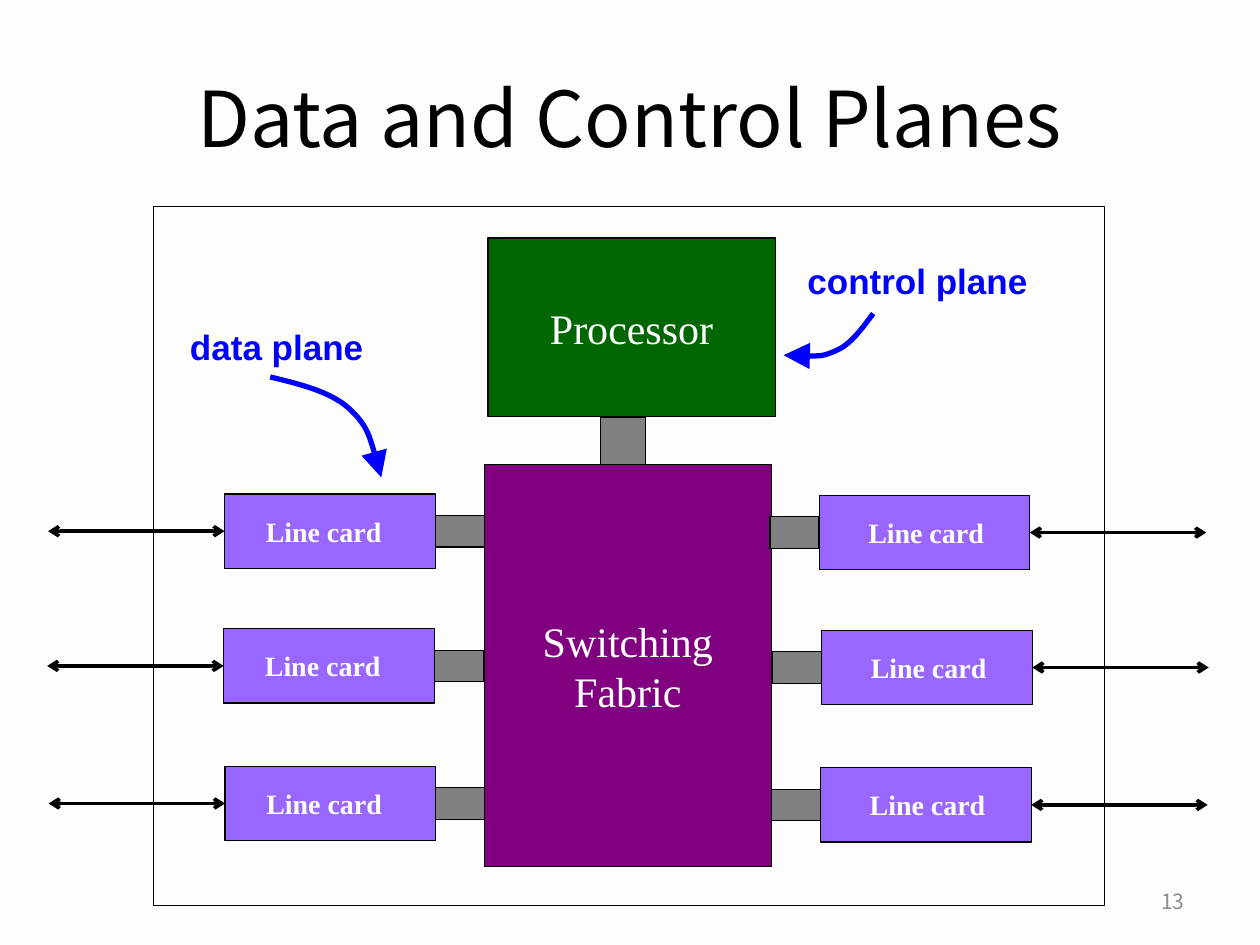
from lxml.etree import SubElement
from pptx import Presentation
from pptx.dml.color import RGBColor
from pptx.enum.shapes import MSO_CONNECTOR as Connector, MSO_SHAPE as Shape
from pptx.enum.text import MSO_ANCHOR as Anchor, MSO_AUTO_SIZE as AutoSize, PP_ALIGN as Align
from pptx.oxml.ns import qn
from pptx.util import Pt

COLORS = {
    "background": "FDFDFC", "black": "000000", "white": "FFFFFF", "number": "8C8C8C",
    "fabric": "800080", "processor": "006600", "pipe": "808080", "card": "9966FF",
    "plane": "0000FF",
}
HEADING_FONT, BLOCK_FONT, PLANE_FONT = "Noto Sans CJK JP", "Times New Roman", "Arial"

TITLE = ("Data and Control Planes", (36, 21.6, 648, 90))
NUMBER = ("13", (516.2, 500.4, 167.8, 28.8))
FRAME = (87.8, 118, 543.4, 399.6)

# text, box, fill
BLOCKS = [
    ("Switching\nFabric", (276.7, 265.6, 164.2, 229.5), "fabric"),
    ("Processor", (278.8, 136, 164.2, 102.2), "processor"),
]
TRUNK = (343, 238.4, 25.9, 27.2)

CARD_TEXT = "Line card"
CARD_W, CARD_H = 120.4, 42.5
PIPE_W, PIPE_H = 28.1, 18
LINK_LENGTH = 100.8
LABEL_W, LABEL_H = 82, 26.6
# outer connection site, direction of the link, label indent, card corners
SIDES = [
    (1, -1, 16.5, [(128.3, 282.3), (127.8, 359.3), (128.6, 437.9)]),
    (3, 1, 21, [(468.1, 283.1), (469.5, 360.2), (468.9, 438.7)]),
]

# text, box, curve as a start point followed by triples of Bezier points
PLANES = [
    ("data plane", (101.5, 182.2, 117, 31),
     [(154.4, 215.4), (172, 219.6), (189.3, 224), (199.7, 233.6),
      (210.2, 243.4), (214, 257.7), (217.9, 272.8)]),
    ("control plane", (454.3, 144.7, 143, 31),
     [(499, 179.2), (492.5, 187.9), (486.4, 196.5), (478.2, 200.2),
      (469.4, 204.2), (458.6, 203.7), (447.8, 203)]),
]

prs = Presentation()
prs.slide_width, prs.slide_height = Pt(720), Pt(540)
slide = prs.slides.add_slide(prs.slide_layouts[6])


def color(name):
    return RGBColor.from_string(COLORS[name])


def write(shape, text, font, size, tint, bold=False, align=Align.LEFT,
          anchor=Anchor.TOP, wrap=False):
    frame = shape.text_frame
    frame.text = text
    frame.word_wrap = wrap
    frame.vertical_anchor = anchor
    for paragraph in frame.paragraphs:
        paragraph.alignment = align
        for run in paragraph.runs:
            run.font.name, run.font.size, run.font.bold = font, Pt(size), bold
            run.font.color.rgb = color(tint)


def add_text(box, *args, **style):
    shape = slide.shapes.add_textbox(*map(Pt, box))
    write(shape, *args, **style)
    return shape


def add_label(box, *args):
    add_text(box, *args, bold=True).text_frame.auto_size = AutoSize.SHAPE_TO_FIT_TEXT


def set_line(shape, tint, width, **ends):
    """Style the outline; ends maps headEnd and tailEnd to (type, size)."""
    shape.line.color.rgb = color(tint)
    shape.line.width = Pt(width)
    for end in ("headEnd", "tailEnd"):
        if end in ends:
            kind, size = ends[end]
            SubElement(shape.line._get_or_add_ln(), qn(f"a:{end}"),
                       type=kind, w=size, len=size)


def add_rect(box, fill=None):
    rect = slide.shapes.add_shape(Shape.RECTANGLE, *map(Pt, box))
    rect.shadow.inherit = False
    if fill:
        rect.fill.solid()
        rect.fill.fore_color.rgb = color(fill)
    else:
        rect.fill.background()
    set_line(rect, "black", 0.75)
    return rect


def add_line_card(x, y, site, direction, indent):
    """Draw one card with its pipe to the fabric, its label and its outside link."""
    card = add_rect((x, y, CARD_W, CARD_H), "card")
    pipe_x = x + CARD_W if direction < 0 else x - PIPE_W
    add_rect((pipe_x, y + (CARD_H - PIPE_H) / 2, PIPE_W, PIPE_H), "pipe")
    add_label((x + indent, y + 8, LABEL_W, LABEL_H), CARD_TEXT, BLOCK_FONT, 16, "white")

    edge = x if direction < 0 else x + CARD_W
    middle = y + CARD_H / 2
    link = slide.shapes.add_connector(
        Connector.STRAIGHT, Pt(edge), Pt(middle),
        Pt(edge + direction * LINK_LENGTH), Pt(middle))
    link.begin_connect(card, site)
    set_line(link, "black", 2, headEnd=("arrow", "med"), tailEnd=("arrow", "med"))
    SubElement(link._element.spPr, qn("a:effectLst"))


def add_curved_arrow(points):
    start, *rest = [(Pt(x), Pt(y)) for x, y in points]
    builder = slide.shapes.build_freeform(*start)
    builder.add_line_segments(rest, close=False)
    arrow = builder.convert_to_shape()
    arrow.shadow.inherit = False
    arrow.fill.background()
    set_line(arrow, "plane", 3, tailEnd=("triangle", "lg"))
    # each three straight segments become one cubic Bezier
    segments = list(arrow._element.iter(qn("a:lnTo")))
    outline = segments[0].getparent()
    for i in range(0, len(segments), 3):
        curve = SubElement(outline, qn("a:cubicBezTo"))
        for segment in segments[i:i + 3]:
            curve.append(segment[0])
            outline.remove(segment)


background = slide.background.fill
background.solid()
background.fore_color.rgb = color("background")

title, title_box = TITLE
add_text(title_box, title, HEADING_FONT, 44, "black",
         align=Align.CENTER, anchor=Anchor.MIDDLE, wrap=True)
number, number_box = NUMBER
add_text(number_box, number, HEADING_FONT, 12, "number",
         align=Align.RIGHT, anchor=Anchor.MIDDLE, wrap=True)

for name, box, fill in BLOCKS:
    write(add_rect(box, fill), name, BLOCK_FONT, 24, "white",
          align=Align.CENTER, anchor=Anchor.MIDDLE)
add_rect(TRUNK, "pipe")

for site, direction, indent, corners in SIDES:
    for x, y in corners:
        add_line_card(x, y, site, direction, indent)

add_rect(FRAME)
for name, box, curve in PLANES:
    add_curved_arrow(curve)
    add_label(box, name, PLANE_FONT, 20, "plane")

prs.save("out.pptx")
